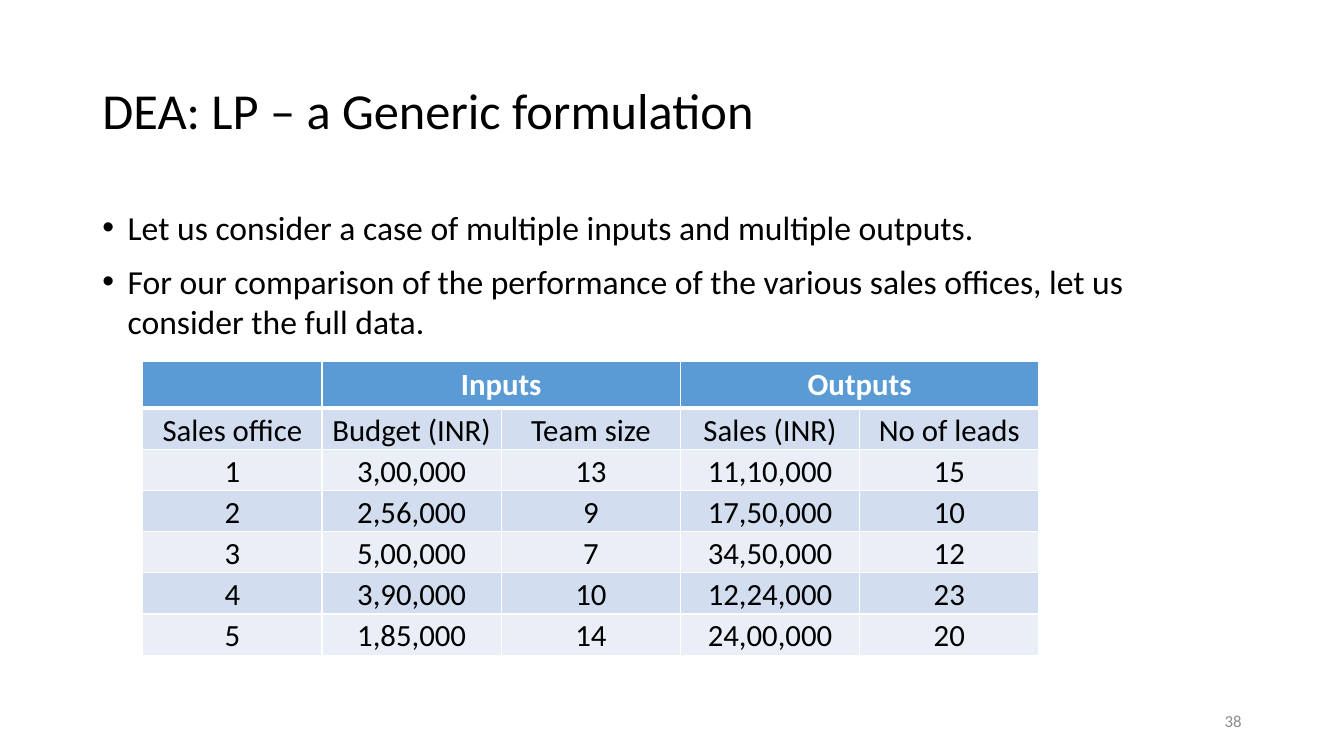
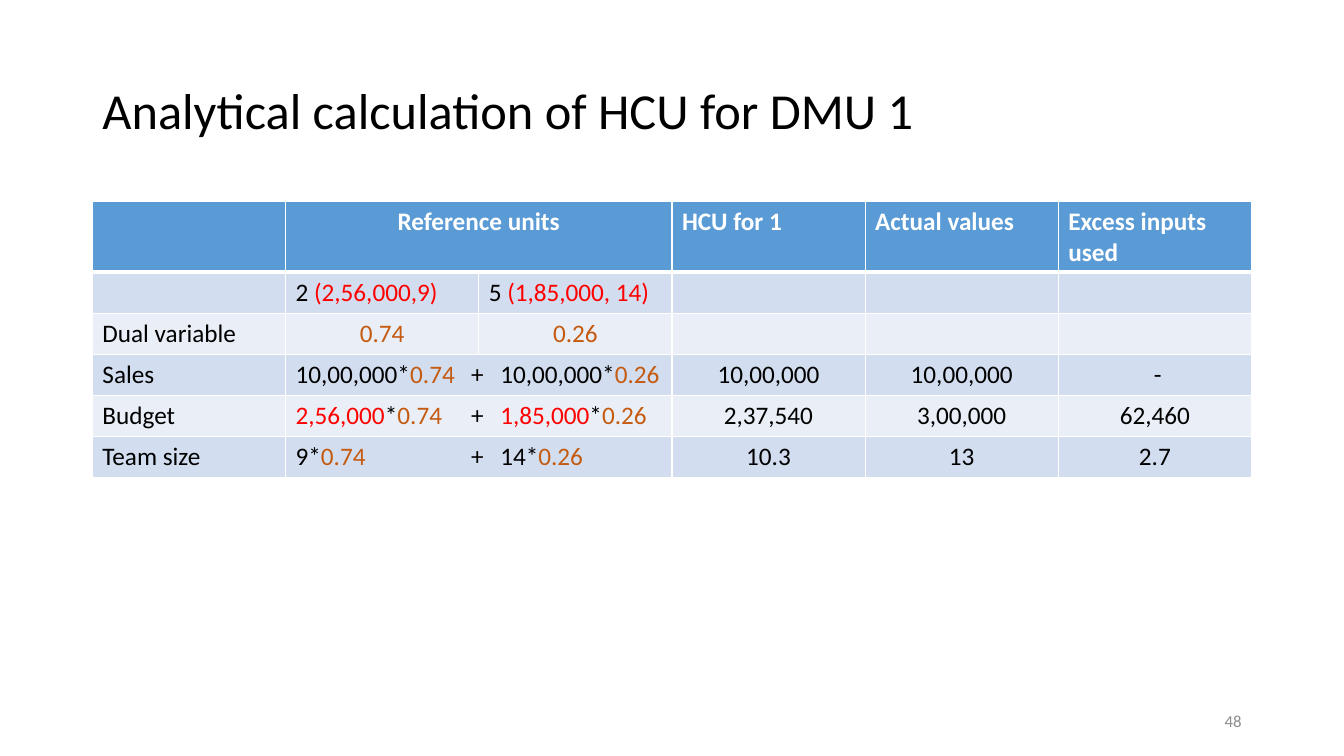
from dataclasses import dataclass
from typing import NamedTuple

from lxml import etree
from pptx import Presentation
from pptx.dml.color import RGBColor
from pptx.enum.text import MSO_ANCHOR, MSO_AUTO_SIZE, PP_ALIGN
from pptx.oxml.ns import qn
from pptx.util import Inches, Pt

LEFT, CENTER, RIGHT = PP_ALIGN.LEFT, PP_ALIGN.CENTER, PP_ALIGN.RIGHT
TOP, MIDDLE, BOTTOM = MSO_ANCHOR.TOP, MSO_ANCHOR.MIDDLE, MSO_ANCHOR.BOTTOM

# The slide is a grid of 160 x 90 units, each 1/12 inch.
UNIT = Inches(1) // 12
FONT = "Calibri"
BLACK, WHITE, GRAY = "000000", "FFFFFF", "8C8C8C"
RED, ORANGE = "FF0000", "C55A11"
HEADER, BANDS = "5B9BD5", ("D2DEEF", "EAEFF7")
ROW_HEIGHT = 4.9
TITLE_AND_CONTENT, TITLE_ONLY = 1, 5
TERM_TABS = (1.74, 2.03)  # plus sign and second term, in inches


class Box(NamedTuple):
    x: float
    y: float
    w: float
    h: float

    def emu(self) -> list[int]:
        return [round(v * UNIT) for v in self]


TITLE_BOX = Box(11, 4.8, 138, 17.4)
BODY_BOX = Box(11, 24, 138, 57.1)
NUMBER_BOX = Box(113, 83.4, 36, 4.8)


class Run(NamedTuple):
    text: str
    color: str = BLACK


@dataclass
class Cell:
    runs: tuple[Run, ...] = ()
    align: PP_ALIGN = LEFT
    span: int = 1
    tabs: tuple[float, ...] = ()


@dataclass
class TableStyle:
    size: int
    anchor: MSO_ANCHOR = TOP
    margins: tuple[float, ...] = (0.1, 0.05, 0.1, 0.05)


def rgb(color: str) -> RGBColor:
    return RGBColor.from_string(color)


def add_run(p, run: Run, size: float, bold: bool = False) -> None:
    r = p.add_run()
    r.text = run.text
    r.font.name, r.font.size, r.font.bold = FONT, Pt(size), bold
    r.font.color.rgb = rgb(run.color)


def place(sp, box: Box) -> None:
    sp.left, sp.top, sp.width, sp.height = box.emu()


def add_slide(prs, layout: int, title: str, number: int):
    """Add a slide with the shared title and page number."""
    s = prs.slides.add_slide(prs.slide_layouts[layout])
    sp = s.shapes.title
    place(sp, TITLE_BOX)
    tf = sp.text_frame
    tf.auto_size, tf.vertical_anchor = MSO_AUTO_SIZE.NONE, MIDDLE
    p = tf.paragraphs[0]
    p.alignment, p.line_spacing = LEFT, 0.9
    add_run(p, Run(title), 36)

    tf = s.shapes.add_textbox(*NUMBER_BOX.emu()).text_frame
    tf.word_wrap, tf.vertical_anchor = True, MIDDLE
    p = tf.paragraphs[0]
    p.alignment = RIGHT
    add_run(p, Run(str(number), GRAY), 12)
    return s


def fill_bullets(sp, items: list[str]) -> None:
    place(sp, BODY_BOX)
    tf = sp.text_frame
    tf.auto_size = MSO_AUTO_SIZE.NONE
    for i, item in enumerate(items):
        p = tf.add_paragraph() if i else tf.paragraphs[0]
        p.space_before = Pt(10)
        pPr = p._p.get_or_add_pPr()
        pPr.set("marL", str(Inches(0.25)))
        pPr.set("indent", str(-Inches(0.25)))
        etree.SubElement(pPr, qn("a:buFont"), typeface="Arial")
        etree.SubElement(pPr, qn("a:buChar"), char="•")
        add_run(p, Run(item), 24)


def set_borders(cell, top: float, bottom: float) -> None:
    """Draw white borders, 1 pt at the sides; they must precede the fill."""
    tcPr = cell._tc.get_or_add_tcPr()
    widths = {"lnL": 1, "lnR": 1, "lnT": top, "lnB": bottom}
    for i, (side, width) in enumerate(widths.items()):
        ln = etree.Element(qn(f"a:{side}"), w=str(Pt(width)))
        fill = etree.SubElement(ln, qn("a:solidFill"))
        etree.SubElement(fill, qn("a:srgbClr"), val=WHITE)
        tcPr.insert(i, ln)


def set_tabs(p, stops: tuple[float, ...]) -> None:
    tab_list = etree.SubElement(p._p.get_or_add_pPr(), qn("a:tabLst"))
    for stop in stops:
        etree.SubElement(tab_list, qn("a:tab"), pos=str(Inches(stop)), algn="l")


def add_table(s, box: Box, n_cols: int, rows: list[list[Cell]], style: TableStyle) -> None:
    table = s.shapes.add_table(len(rows), n_cols, *box.emu()).table
    table.horz_banding = False
    for i, row in enumerate(rows):
        table.rows[i].height = round(ROW_HEIGHT * UNIT)
        for j in range(n_cols):
            cell = table.cell(i, j)
            cell.fill.solid()
            cell.fill.fore_color.rgb = rgb(BANDS[(i - 1) % 2] if i else HEADER)
            set_borders(cell, 3 if i == 1 else 1, 1 if i else 3)
        j = 0
        for item in row:
            cell = table.cell(i, j)
            if item.span > 1:
                cell.merge(table.cell(i, j + item.span - 1))
            if i:
                cell.vertical_anchor = style.anchor
                (cell.margin_left, cell.margin_top, cell.margin_right,
                 cell.margin_bottom) = map(Inches, style.margins)
            p = cell.text_frame.paragraphs[0]
            p.alignment = item.align
            if item.tabs:
                set_tabs(p, item.tabs)
            for run in item.runs:
                add_run(p, run, style.size, bold=i == 0)
            j += item.span


def text_cell(text: str, color: str = BLACK, align: PP_ALIGN = CENTER, span: int = 1) -> Cell:
    return Cell((Run(text, color),), align, span)


def sum_cell(first: str, second: str, color: str = BLACK) -> Cell:
    """Two reference values, each weighted by its dual variable."""
    return Cell((Run(first, color), Run("*"), Run("0.74", ORANGE), Run("\t+\t"),
                 Run(second, color), Run("*"), Run("0.26", ORANGE)),
                span=2, tabs=TERM_TABS)


def build_formulation(prs) -> None:
    s = add_slide(prs, TITLE_AND_CONTENT, "DEA: LP – a Generic formulation", 38)
    fill_bullets(s.placeholders[1], [
        "Let us consider a case of multiple inputs and multiple outputs.",
        "For our comparison of the performance of the various sales offices, "
        "let us consider the full data.",
    ])
    offices = [
        ("Sales office", "Budget (INR)", "Team size", "Sales (INR)", "No of leads"),
        ("1", "3,00,000", "13", "11,10,000", "15"),
        ("2", "2,56,000", "9", "17,50,000", "10"),
        ("3", "5,00,000", "7", "34,50,000", "12"),
        ("4", "3,90,000", "10", "12,24,000", "23"),
        ("5", "1,85,000", "14", "24,00,000", "20"),
    ]
    header = [Cell(), text_cell("Inputs", WHITE, span=2), text_cell("Outputs", WHITE, span=2)]
    rows = [header] + [[text_cell(value) for value in office] for office in offices]
    add_table(s, Box(17, 43, 106.7, ROW_HEIGHT * len(rows)), 5, rows,
              TableStyle(22, BOTTOM, (0.01, 0.01, 0.01, 0)))


def build_calculation(prs) -> None:
    s = add_slide(prs, TITLE_ONLY, "Analytical calculation of HCU for DMU 1", 48)
    blanks = [Cell()] * 3
    measures = [
        ("Sales", sum_cell("10,00,000", "10,00,000"), ("10,00,000", "10,00,000", " -")),
        ("Budget", sum_cell("2,56,000", "1,85,000", RED), ("2,37,540", "3,00,000", "62,460")),
        ("Team size", sum_cell("9", "14"), ("10.3", "13", "2.7")),
    ]
    rows = [
        [Cell(), text_cell("Reference units", WHITE, span=2)]
        + [text_cell(t, WHITE, LEFT)
           for t in ("HCU for 1", "Actual values", "Excess inputs used")],
        [Cell(), Cell((Run("2 "), Run("(2,56,000,9)", RED))),
         Cell((Run("5 "), Run("(1,85,000, 14)", RED)))] + blanks,
        [text_cell("Dual variable", align=LEFT),
         text_cell("0.74", ORANGE), text_cell("0.26", ORANGE)] + blanks,
    ]
    for name, weighted, results in measures:
        rows.append([text_cell(name, align=LEFT), weighted] + [text_cell(t) for t in results])
    add_table(s, Box(11, 24, 138, ROW_HEIGHT * len(rows)), 6, rows, TableStyle(18))


def main() -> None:
    prs = Presentation()
    prs.slide_width, prs.slide_height = 160 * UNIT, 90 * UNIT
    build_formulation(prs)
    build_calculation(prs)
    prs.save("out.pptx")


if __name__ == "__main__":
    main()
